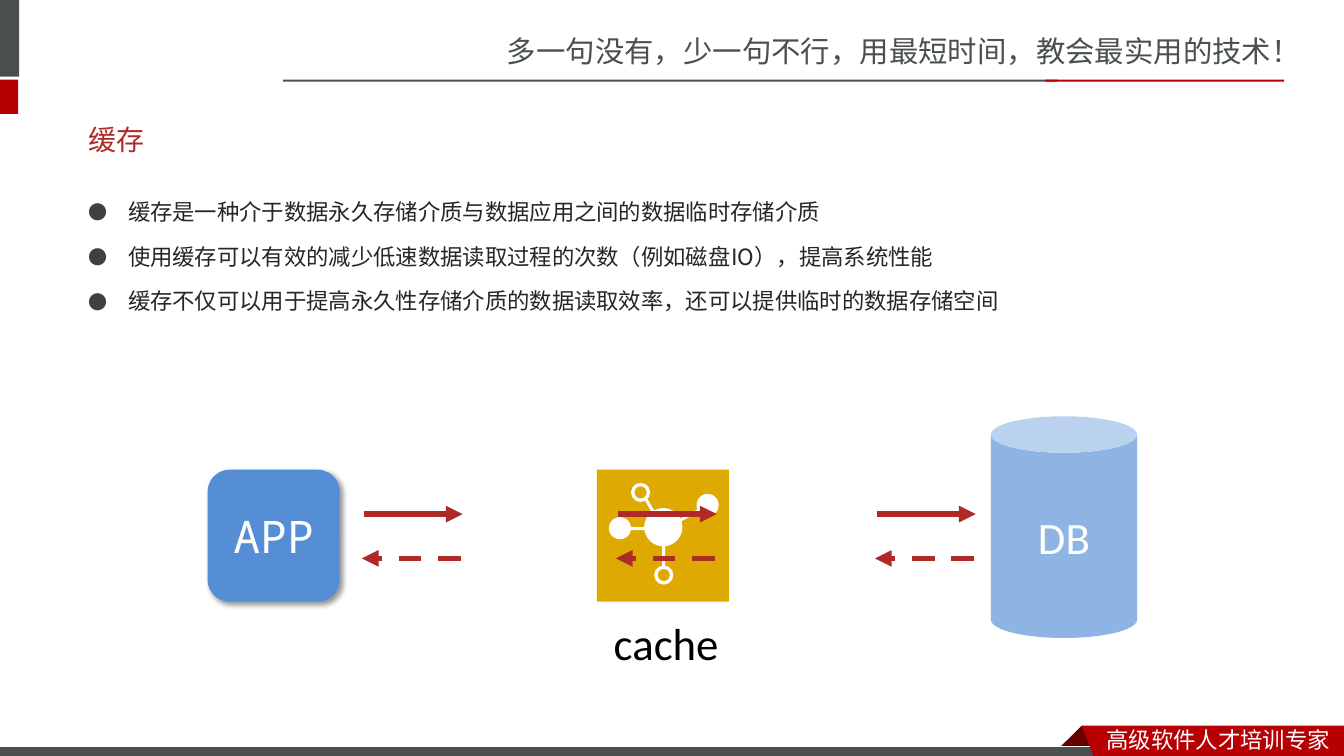
from lxml.etree import SubElement
from pptx import Presentation
from pptx.dml.color import RGBColor
from pptx.enum.dml import MSO_LINE
from pptx.enum.shapes import MSO_CONNECTOR, MSO_SHAPE
from pptx.enum.text import MSO_ANCHOR, MSO_AUTO_SIZE, PP_ALIGN
from pptx.oxml.ns import qn
from pptx.util import Inches, Pt

CELL = Inches(0.1)
COLUMNS, ROWS = 133.33, 75
GREY, RED, BRICK, WHITE, GOLD = "49504F", "B60004", "AD2A26", "FFFFFF", "DEA900"
CHINESE, CHINESE_BODY = "Noto Sans CJK SC", "Noto Sans CJK JP"


def grid(*cells):
    return [round(cell * CELL) for cell in cells]


def color(value):
    return RGBColor.from_string(value)


def add_xml(parent, tag, **attributes):
    return SubElement(parent, qn(tag), attributes)


def write(para, text, size=16, font="Calibri", asian=CHINESE, ink=WHITE, align=PP_ALIGN.LEFT):
    para.alignment = align
    span = para.add_run()
    span.text = text
    span.font.size = Pt(size)
    span.font.name = font
    span.font.color.rgb = color(ink)
    add_xml(span.font._element, "a:ea", typeface=asian)


class SlideBuilder:
    def __init__(self, deck):
        self.page = deck.slides.add_slide(deck.slide_layouts[1])
        self.shapes = self.page.shapes

    def paint(self, shape, fill, outline=None):
        shape.shadow.inherit = False
        shape.fill.solid()
        shape.fill.fore_color.rgb = color(fill)
        if outline:
            shape.line.color.rgb = color(outline)
            shape.line.width = Pt(0.75)
        else:
            shape.line.fill.background()
        return shape

    def shape(self, kind, place, fill, outline=None, label=None, parent=None, **style):
        shapes = parent.shapes if parent else self.shapes
        shape = self.paint(shapes.add_shape(kind, *grid(*place)), fill, outline)
        if label:
            shape.text_frame.vertical_anchor = MSO_ANCHOR.MIDDLE
            write(shape.text_frame.paragraphs[0], label, align=PP_ALIGN.CENTER, **style)
        return shape

    def disc(self, center, size, fill, parent):
        x, y = center
        place = (x - size / 2, y - size / 2, size, size)
        return self.shape(MSO_SHAPE.OVAL, place, fill, parent=parent)

    def outline(self, points, fill):
        first, *others = [grid(*point) for point in points]
        builder = self.shapes.build_freeform(*first, scale=1.0)
        builder.add_line_segments(others, close=True)
        return self.paint(builder.convert_to_shape(), fill)

    def text(self, place, text, **style):
        box = self.shapes.add_textbox(*grid(*place))
        box.text_frame.word_wrap = False
        write(box.text_frame.paragraphs[0], text, **style)

    def place_holder(self, holder, place, anchor):
        holder.left, holder.top, holder.width, holder.height = grid(*place)
        holder.text_frame.auto_size = MSO_AUTO_SIZE.NONE
        holder.text_frame.vertical_anchor = anchor
        return holder.text_frame

    def title(self, place, text, **style):
        frame = self.place_holder(self.shapes.title, place, MSO_ANCHOR.MIDDLE)
        write(frame.paragraphs[0], text, **style)

    def bullets(self, place, items, **style):
        frame = self.place_holder(self.page.placeholders[1], place, MSO_ANCHOR.TOP)
        indent = grid(3.9)[0]
        for index, item in enumerate(items):
            para = frame.add_paragraph() if index else frame.paragraphs[0]
            properties = para._p.get_or_add_pPr()
            properties.set("marL", str(indent))
            properties.set("indent", str(-indent))
            add_xml(add_xml(properties, "a:buClr"), "a:srgbClr", val="404040")
            add_xml(properties, "a:buSzPct", val="85000")
            add_xml(properties, "a:buFont", typeface=CHINESE_BODY)
            add_xml(properties, "a:buChar", char="●")
            para.line_spacing = 1.5
            para.space_before = Pt(3.2 if index else 0)
            write(para, item, **style)

    def arrow(self, start, end, dashed=False):
        line = self.shapes.add_connector(MSO_CONNECTOR.STRAIGHT, *grid(*start, *end))
        line.line.color.rgb = color(BRICK)
        line.line.width = Pt(4)
        if dashed:
            line.line.dash_style = MSO_LINE.DASH
        add_xml(line.line._get_or_add_ln(), "a:tailEnd", type="triangle")
        add_xml(line._element.spPr, "a:effectLst")

    def cast_shadow(self, shape):
        effects = shape._element.spPr.find(qn("a:effectLst"))
        shadow = add_xml(effects, "a:outerShdw", blurRad=str(Pt(4)), dist=str(Pt(3)),
                         dir="2700000", algn="tl", rotWithShape="0")
        add_xml(add_xml(shadow, "a:srgbClr", val="000000"), "a:alpha", val="40000")

    def hub_icon(self, left, top):
        icon = self.shapes.add_group_shape()
        self.shape(MSO_SHAPE.RECTANGLE, (left, top, 13.1, 13.1), GOLD, parent=icon)
        self.disc((left + 6.6, top + 5.7), 3.8, WHITE, icon)
        for x, y in [(11, 3.5), (2.3, 5.8)]:
            self.disc((left + x, top + y), 2.2, WHITE, icon)
        for x, y in [(4.35, 2.25), (6.65, 10.45)]:
            for size, fill in [(1.9, WHITE), (1.2, GOLD)]:
                self.disc((left + x, top + y), size, fill, icon)
        spokes = [(6.65, 8.55, 2.1, 0), (4.05, 5.85, 2.1, 90),
                  (9.05, 4.6, 4.6, 62.2), (5.95, 4.8, 4.6, 150)]
        for x, y, length, angle in spokes:
            place = (left + x - 0.15, top + y - length / 2, 0.3, length)
            self.shape(MSO_SHAPE.RECTANGLE, place, WHITE, parent=icon).rotation = angle


def main():
    deck = Presentation()
    deck.slide_width, deck.slide_height = grid(COLUMNS, ROWS)
    slide = SlideBuilder(deck)

    slide.text((49.3, 2.8, 84.1, 4.7), "多一句没有，少一句不行，用最短时间，教会最实用的技术！",
               size=21, font=CHINESE, ink=GREY)
    for place, fill in [((-0.6, 0, 2.5, 7.6), GREY), ((-0.6, 7.9, 2.4, 3.4), RED),
                        ((28.1, 7.9, 76.8, 0.2), GREY), ((103.7, 7.9, 23.7, 0.2), RED)]:
        slide.shape(MSO_SHAPE.RECTANGLE, place, fill)

    slide.outline([(107.3, 72), (109.5, 74.2), (109.4, 74.3), (105.2, 74.3), (105.1, 74.2)],
                  "680000")
    slide.shape(MSO_SHAPE.RECTANGLE, (-0.1, 74.1, 110, 1.2), GREY, outline=WHITE)
    slide.outline([(107.3, 72), (COLUMNS, 72), (COLUMNS, 75.4), (108.6, 75.3)], RED)
    slide.text((108.8, 71.5, 24.5, 3.7), "高级软件人才培训专家", font=CHINESE)

    slide.title((7.8, 11, 117.2, 5.7), "缓存", size=20, ink=BRICK)
    slide.bullets((7.8, 17.8, 117.2, 48), [
        "缓存是一种介于数据永久存储介质与数据应用之间的数据临时存储介质",
        "使用缓存可以有效的减少低速数据读取过程的次数（例如磁盘IO），提高系统性能",
        "缓存不仅可以用于提高永久性存储介质的数据读取效率，还可以提供临时的数据存储空间",
    ], font=CHINESE_BODY, asian=CHINESE_BODY, ink="262626")

    slide.shape(MSO_SHAPE.CAN, (98.3, 41.3, 14.5, 22), "8EB4E3", label="DB", size=32)
    app = slide.shape(MSO_SHAPE.ROUNDED_RECTANGLE, (20.6, 46.6, 13.1, 13.1), "558ED5",
                      label="APP", size=32, font="Noto Sans Mono")
    slide.cast_shadow(app)
    slide.text((59.9, 60.6, 12.5, 6.4), "cache", size=32, ink="000000")
    slide.hub_icon(59.2, 46.6)
    for left in (36.1, 61.3, 87):
        slide.arrow((left, 51), (left + 9.8, 51))
        slide.arrow((left + 9.6, 55.4), (left - 0.2, 55.4), dashed=True)

    deck.save("out.pptx")


if __name__ == "__main__":
    main()
